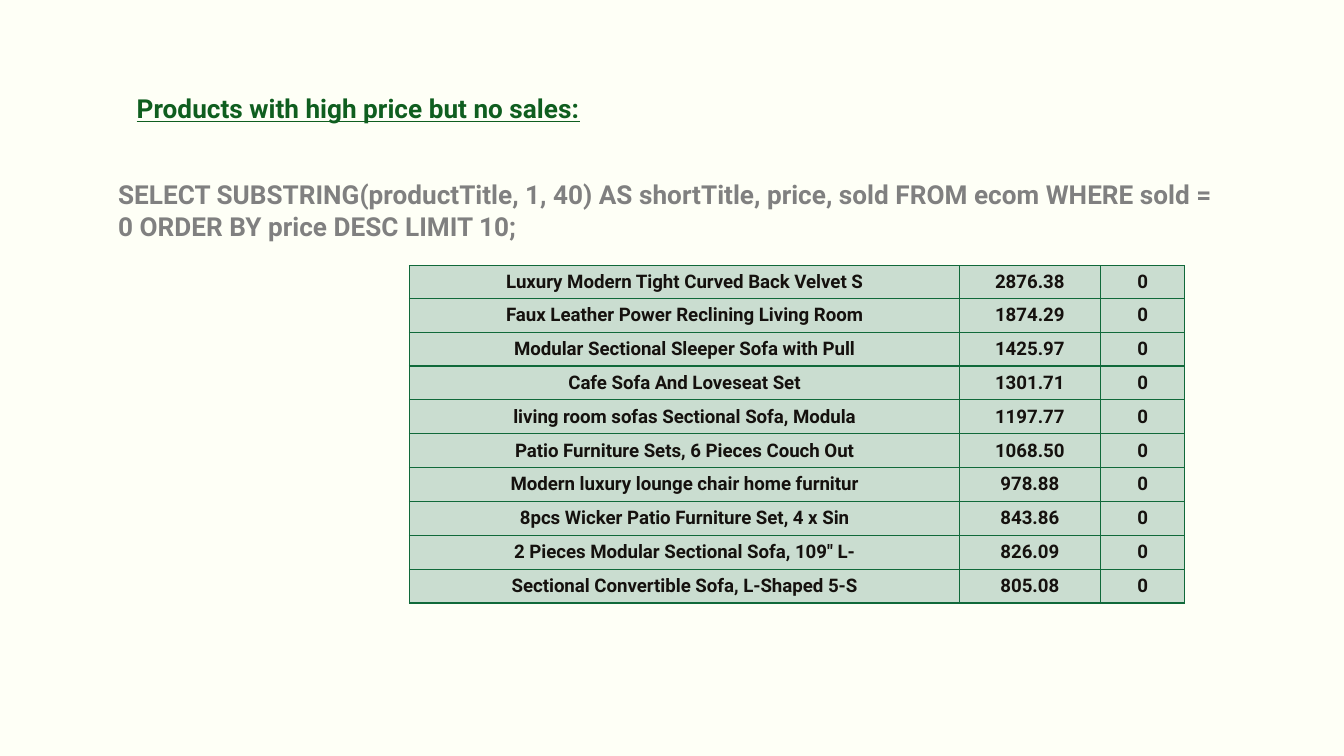
from typing import NamedTuple

from lxml.etree import SubElement
from pptx import Presentation
from pptx.dml.color import RGBColor
from pptx.enum.text import MSO_ANCHOR, PP_ALIGN
from pptx.oxml.ns import qn
from pptx.slide import Slide
from pptx.table import _Cell
from pptx.text.text import TextFrame
from pptx.util import Pt

FONT = "Roboto"
CREAM = RGBColor(0xFE, 0xFF, 0xF6)
DARK_GREEN = RGBColor(0x0F, 0x5E, 0x1F)
GRAY = RGBColor(0x80, 0x80, 0x80)
INK = RGBColor(0x15, 0x11, 0x0E)
PALE_GREEN = RGBColor(0xCA, 0xDD, 0xD0)
BORDER_GREEN = RGBColor(0x10, 0x69, 0x3A)

COLUMN_WIDTHS = (294.5, 75.6, 45.3)
FIRST_ROW_HEIGHT = 17.5
ROW_HEIGHT = 18.15


class Passage(NamedTuple):
    text: str
    left: float
    top: float
    width: float
    height: float
    color: RGBColor
    underline: bool = False


class Product(NamedTuple):
    title: str
    price: str
    sold: str = "0"


PASSAGES = [
    Passage("Products with high price but no sales:",
            66.2, 42.5, 597.6, 30.2, DARK_GREEN, underline=True),
    Passage("SELECT SUBSTRING(productTitle, 1, 40) AS shortTitle, price, sold "
            "FROM ecom WHERE sold = 0 ORDER BY price DESC LIMIT 10;",
            56.2, 88.6, 607.7, 54, GRAY),
]

PRODUCTS = [
    Product("Luxury Modern Tight Curved Back Velvet S", "2876.38"),
    Product("Faux Leather Power Reclining Living Room", "1874.29"),
    Product("Modular Sectional Sleeper Sofa with Pull", "1425.97"),
    Product("Cafe Sofa And Loveseat Set", "1301.71"),
    Product("living room sofas Sectional Sofa, Modula", "1197.77"),
    Product("Patio Furniture Sets, 6 Pieces Couch Out", "1068.50"),
    Product("Modern luxury lounge chair home furnitur", "978.88"),
    Product("8pcs Wicker Patio Furniture Set, 4 x Sin", "843.86"),
    Product('2 Pieces Modular Sectional Sofa, 109" L-', "826.09"),
    Product("Sectional Convertible Sofa, L-Shaped 5-S", "805.08"),
]


def write_bold(frame: TextFrame, text: str, size: float, color: RGBColor) -> None:
    frame.text = text
    font = frame.paragraphs[0].runs[0].font
    font.name = FONT
    font.size = Pt(size)
    font.bold = True
    font.color.rgb = color


def add_passage(slide: Slide, passage: Passage) -> None:
    box = slide.shapes.add_textbox(Pt(passage.left), Pt(passage.top),
                                   Pt(passage.width), Pt(passage.height))
    frame = box.text_frame
    frame.word_wrap = True
    frame.margin_left = frame.margin_right = Pt(7.2)
    frame.margin_top = frame.margin_bottom = Pt(7.2)
    write_bold(frame, passage.text, 14, passage.color)
    if passage.underline:
        frame.paragraphs[0].runs[0].font.underline = True


def add_borders(cell: _Cell) -> None:
    properties = cell._tc.get_or_add_tcPr()
    for side in ("a:lnL", "a:lnR", "a:lnT", "a:lnB"):
        line = SubElement(properties, qn(side), w=str(Pt(0.75)))
        fill = SubElement(line, qn("a:solidFill"))
        SubElement(fill, qn("a:srgbClr"), val=str(BORDER_GREEN))


def fill_cell(cell: _Cell, text: str) -> None:
    add_borders(cell)
    cell.fill.solid()
    cell.fill.fore_color.rgb = PALE_GREEN
    cell.margin_left = cell.margin_right = Pt(5)
    cell.margin_top = cell.margin_bottom = Pt(2.6)
    cell.vertical_anchor = MSO_ANCHOR.MIDDLE
    write_bold(cell.text_frame, text, 10, INK)
    cell.text_frame.paragraphs[0].alignment = PP_ALIGN.CENTER


def add_product_table(slide: Slide, left: float, top: float) -> None:
    height = FIRST_ROW_HEIGHT + ROW_HEIGHT * (len(PRODUCTS) - 1)
    table = slide.shapes.add_table(
        len(PRODUCTS), len(COLUMN_WIDTHS), Pt(left), Pt(top),
        Pt(sum(COLUMN_WIDTHS)), Pt(height)).table
    table.first_row = False
    table.horz_banding = False
    for column, width in zip(table.columns, COLUMN_WIDTHS):
        column.width = Pt(width)
    for index, (row, product) in enumerate(zip(table.rows, PRODUCTS)):
        row.height = Pt(ROW_HEIGHT if index else FIRST_ROW_HEIGHT)
        for cell, text in zip(row.cells, product):
            fill_cell(cell, text)


def main() -> None:
    presentation = Presentation()
    presentation.slide_width = Pt(720)
    presentation.slide_height = Pt(405)
    slide = presentation.slides.add_slide(presentation.slide_layouts[6])

    # Background
    slide.background.fill.solid()
    slide.background.fill.fore_color.rgb = CREAM

    # Heading and query
    for passage in PASSAGES:
        add_passage(slide, passage)

    # Query result
    add_product_table(slide, left=219.4, top=142.3)

    presentation.save("out.pptx")


if __name__ == "__main__":
    main()
